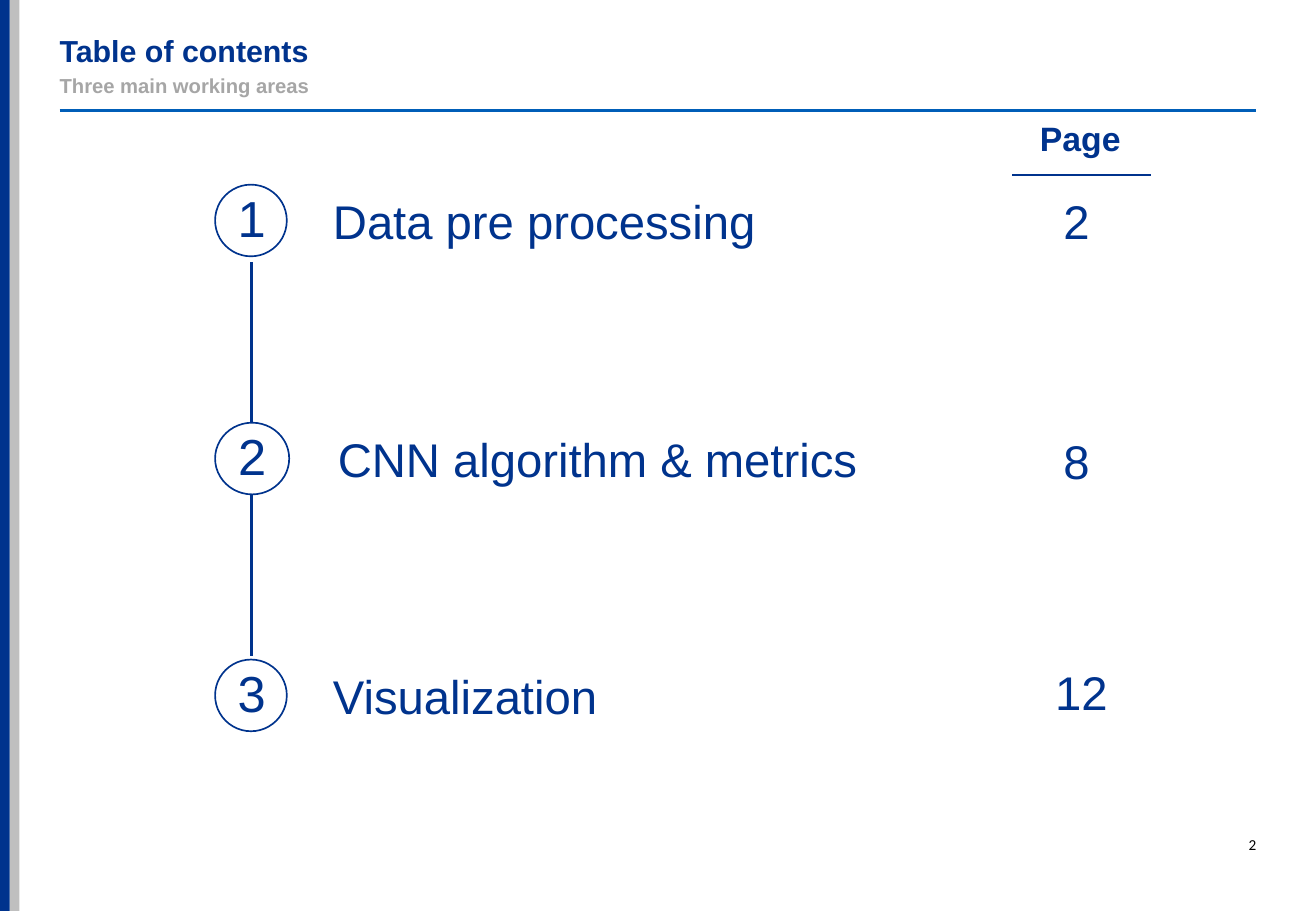
"""Build the table of contents slide."""
from pptx import Presentation
from pptx.dml.color import RGBColor as RGB
from pptx.enum.shapes import MSO_CONNECTOR as Conn, MSO_SHAPE as Shape
from pptx.enum.text import MSO_ANCHOR as Anchor, MSO_AUTO_SIZE as Auto, PP_ALIGN as Align
from pptx.oxml.ns import qn
from pptx.util import Inches, Pt
from lxml import etree

COLORS = {"navy": "00338D", "blue": "005EB8", "silver": "BFBFBF",
          "gray": "A6A6A6", "white": "FFFFFF", "black": "000000"}


def write(shape, text, size, color="navy", bold=False, align=Align.LEFT,
          anchor=Anchor.MIDDLE, pad=(0, 0, 0, 0), font="Arial"):
    frame = shape.text_frame
    frame.text = text
    frame.word_wrap = True
    frame.auto_size = Auto.NONE
    frame.vertical_anchor = anchor
    frame.margin_left, frame.margin_top, frame.margin_right, frame.margin_bottom = map(Inches, pad)
    para = frame.paragraphs[0]
    para.alignment = align
    para.space_before = Pt(0)
    run = para.runs[0].font
    run.name, run.size, run.bold = font, Pt(size), bold
    run.color.rgb = RGB.from_string(COLORS[color])
    return para


def rule(x1, y1, x2, y2, color, width):
    line = slide.shapes.add_connector(Conn.STRAIGHT, *map(Inches, (x1, y1, x2, y2)))
    line.line.color.rgb = RGB.from_string(COLORS[color])
    line.line.width = Pt(width)
    etree.SubElement(line._element.spPr, qn("a:effectLst"))


deck = Presentation()
deck.slide_width, deck.slide_height = Inches(10.83), Inches(7.5)
slide = deck.slides.add_slide(deck.slide_layouts[1])
shapes = slide.shapes

for left, color in ((0.08, "silver"), (0, "navy")):
    bar = shapes.add_shape(Shape.RECTANGLE, Inches(left), 0, Inches(0.08), deck.slide_height)
    bar.shadow.inherit = False
    bar.fill.solid()
    bar.fill.fore_color.rgb = RGB.from_string(COLORS[color])
    bar.line.fill.background()

heads = ((shapes.title, 0.3, "Table of contents", 18, "navy"),
         (slide.placeholders[1], 0.59, "Three main working areas", 12, "gray"))
for head, top, text, size, color in heads:
    head.left, head.top, head.width, head.height = map(Inches, (0.49, top, 9.84, 0.23))
    para = write(head, text, size, color, bold=True)
    props = para._p.get_or_add_pPr()
    props.set("marL", "0")
    props.set("indent", "0")
    etree.SubElement(props, qn("a:buNone"))
    para.space_after = Pt(3)

rule(0.49, 0.91, 10.34, 0.91, "blue", 1.5)
rule(2.07, 2.16, 2.07, 5.4, "navy", 2.25)
rule(8.33, 1.44, 9.47, 1.44, "navy", 1)

label = shapes.add_textbox(*map(Inches, (8.42, 0.94, 0.94, 0.35)))
write(label, "Page", 20, bold=True, align=Align.CENTER, anchor=Anchor.BOTTOM).line_spacing = 0.7

rows = (("Data pre processing", 1.52, 0.59, 2.74, "2", 8.47, 1.52),
        ("CNN algorithm & metrics", 3.48, 0.61, 2.78, "8", 8.47, 3.5),
        ("Visualization", 5.43, 0.59, 2.74, "12", 8.51, 5.4))
for step, (topic, top, width, left, page, page_x, page_y) in enumerate(rows, 1):
    ring = shapes.add_shape(Shape.OVAL, *map(Inches, (1.77, top, width, 0.59)))
    ring.shadow.inherit = False
    ring.fill.solid()
    ring.fill.fore_color.rgb = RGB.from_string(COLORS["white"])
    ring.line.color.rgb = RGB.from_string(COLORS["navy"])
    ring.line.width = Pt(1)
    write(ring, str(step), 30, align=Align.CENTER, pad=(0.1, 0, 0.1, 0.05))

    name = shapes.add_textbox(*map(Inches, (left, top + 0.04, 4.43, 0.51)))
    write(name, topic, 28)

    number = shapes.add_textbox(*map(Inches, (page_x, page_y, 0.78, 0.5)))
    write(number, page, 28, align=Align.CENTER, anchor=Anchor.TOP, pad=(0.06,) * 4)

folio = shapes.add_textbox(*map(Inches, (9.91, 6.88, 0.43, 0.16)))
write(folio, "2", 9, "black", align=Align.RIGHT, anchor=Anchor.TOP, font="Calibri")

deck.save("out.pptx")
